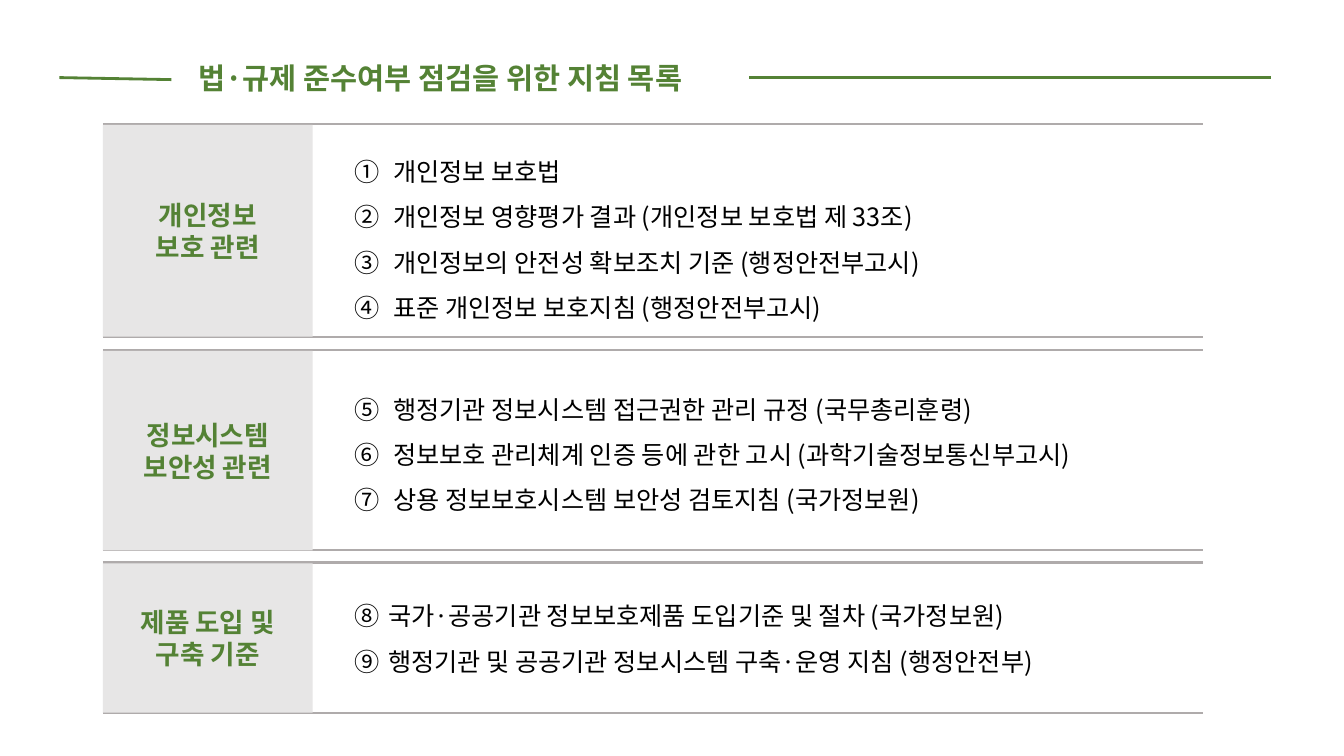
from lxml.etree import SubElement
from pptx import Presentation
from pptx.dml.color import RGBColor
from pptx.enum.shapes import MSO_CONNECTOR, MSO_SHAPE
from pptx.enum.text import MSO_ANCHOR, PP_ALIGN
from pptx.oxml.ns import qn
from pptx.util import Inches, Pt

FONT = "Noto Sans CJK KR"
COLORS = {"green": "548235", "rule": "AFABAB", "label": "E7E6E6", "text": "000000"}

LEFT, RIGHT = 1.02, 11.93
LABEL_WIDTH = 2.08
LIST_LEFT, LIST_WIDTH = 3.42, 8.15

# top rule, bottom rule, list top, list height, hanging indent, label lines, guidelines
SECTIONS = [
    (1.23, 3.34, 1.35, 1.92, 0.38, ["개인정보", "보호 관련"], [
        "개인정보 보호법",
        "개인정보 영향평가 결과 (개인정보 보호법 제 33조)",
        "개인정보의 안전성 확보조치 기준 (행정안전부고시)",
        "표준 개인정보 보호지침 (행정안전부고시)",
    ]),
    (3.47, 5.46, 3.71, 1.37, 0.38, ["정보시스템", "보안성 관련"], [
        "행정기관 정보시스템 접근권한 관리 규정 (국무총리훈령)",
        "정보보호 관리체계 인증 등에 관한 고시 (과학기술정보통신부고시)",
        "상용 정보보호시스템 보안성 검토지침 (국가정보원)",
    ]),
    (5.58, 7.07, 5.76, 1.01, 0.33, ["제품 도입 및", "구축 기준"], [
        "국가·공공기관 정보보호제품 도입기준 및 절차 (국가정보원)",
        "행정기관 및 공공기관 정보시스템 구축·운영 지침 (행정안전부)",
    ]),
]

prs = Presentation()
prs.slide_width, prs.slide_height = Inches(13.33), Inches(7.5)
slide = prs.slides.add_slide(prs.slide_layouts[6])


def add_rule(x1, y1, x2, y2, color, width):
    rule = slide.shapes.add_connector(
        MSO_CONNECTOR.STRAIGHT, Inches(x1), Inches(y1), Inches(x2), Inches(y2))
    rule.line.color.rgb = RGBColor.from_string(COLORS[color])
    rule.line.width = Pt(width)
    SubElement(rule._element.spPr, qn("a:effectLst"))


def write_lines(frame, lines, size, color, bold=False):
    """Put each line in its own paragraph, with the font set for Latin and Korean."""
    frame.word_wrap = True
    for i, line in enumerate(lines):
        paragraph = frame.paragraphs[0] if i == 0 else frame.add_paragraph()
        run = paragraph.add_run()
        run.text = line
        run.font.size, run.font.bold, run.font.name = Pt(size), bold, FONT
        run.font.color.rgb = RGBColor.from_string(COLORS[color])
        SubElement(run._r.get_or_add_rPr(), qn("a:ea"), typeface=FONT)


add_rule(0.59, 0.77, 1.7, 0.79, "green", 2)
add_rule(7.43, 0.77, 12.61, 0.77, "green", 2)
title = slide.shapes.add_textbox(Inches(1.87), Inches(0.55), Inches(6.5), Inches(0.45))
write_lines(title.text_frame, ["법·규제 준수여부 점검을 위한 지침 목록"], 21, "green", True)

number = 1
for top, bottom, list_top, list_height, indent, label_lines, guidelines in SECTIONS:
    for y in (top, bottom):
        add_rule(LEFT, y, RIGHT, y, "rule", 1.5)

    label = slide.shapes.add_shape(
        MSO_SHAPE.RECTANGLE, Inches(LEFT), Inches(top + 0.01),
        Inches(LABEL_WIDTH), Inches(bottom - top - 0.01))
    label.shadow.inherit = False
    label.fill.solid()
    label.fill.fore_color.rgb = RGBColor.from_string(COLORS["label"])
    label.line.fill.background()
    label.text_frame.vertical_anchor = MSO_ANCHOR.MIDDLE
    write_lines(label.text_frame, label_lines, 19, "green", True)
    for paragraph in label.text_frame.paragraphs:
        paragraph.alignment = PP_ALIGN.CENTER

    listing = slide.shapes.add_textbox(
        Inches(LIST_LEFT), Inches(list_top), Inches(LIST_WIDTH), Inches(list_height))
    write_lines(listing.text_frame, guidelines, 18, "text")
    for paragraph in listing.text_frame.paragraphs:
        paragraph.line_spacing = 1.5
        properties = paragraph._p.get_or_add_pPr()
        properties.set("marL", str(Inches(indent)))
        properties.set("indent", str(-Inches(indent)))
        SubElement(properties, qn("a:buFont"), typeface=FONT)
        SubElement(properties, qn("a:buAutoNum"),
                   type="circleNumDbPlain", startAt=str(number))
    number += len(guidelines)

prs.save("out.pptx")
